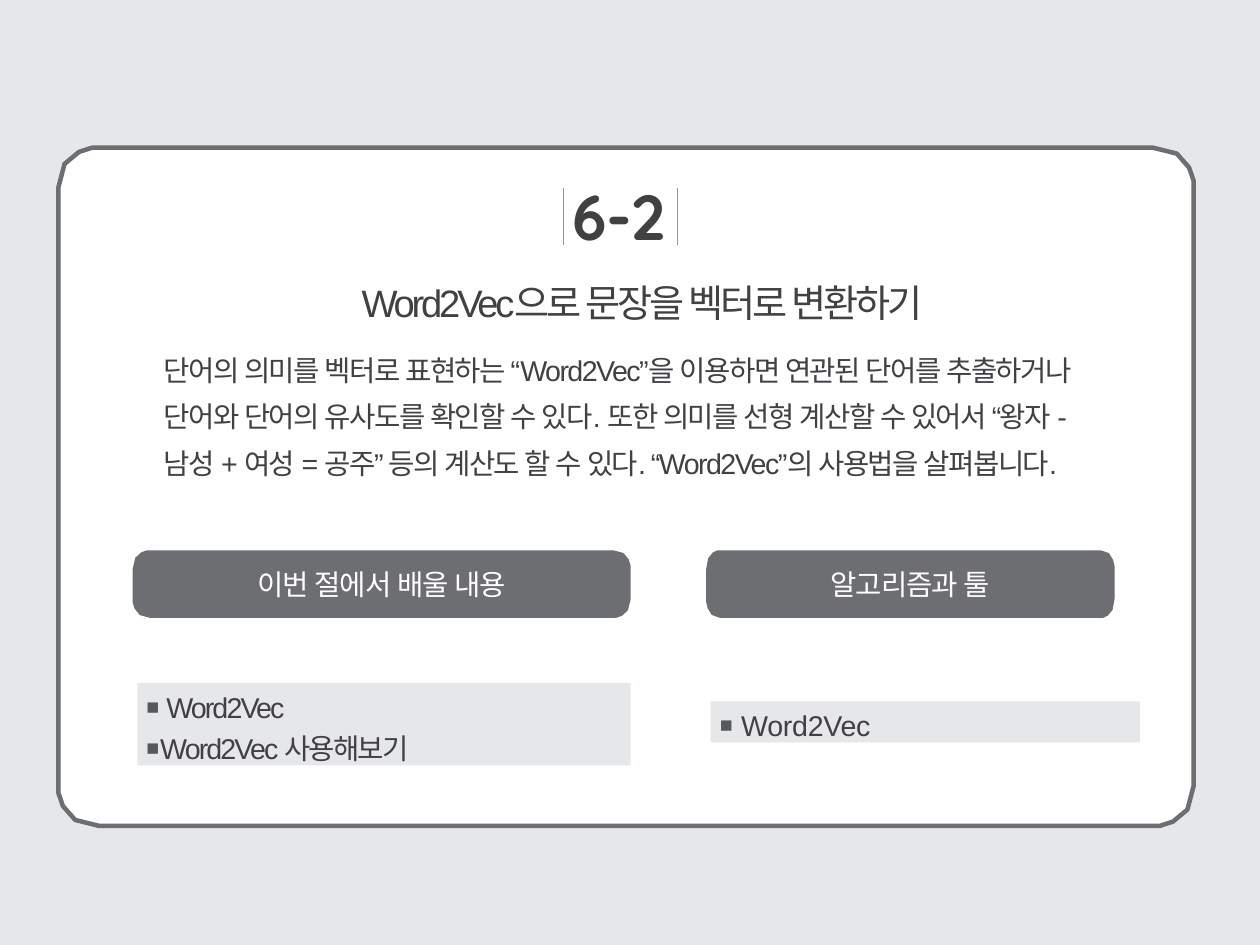
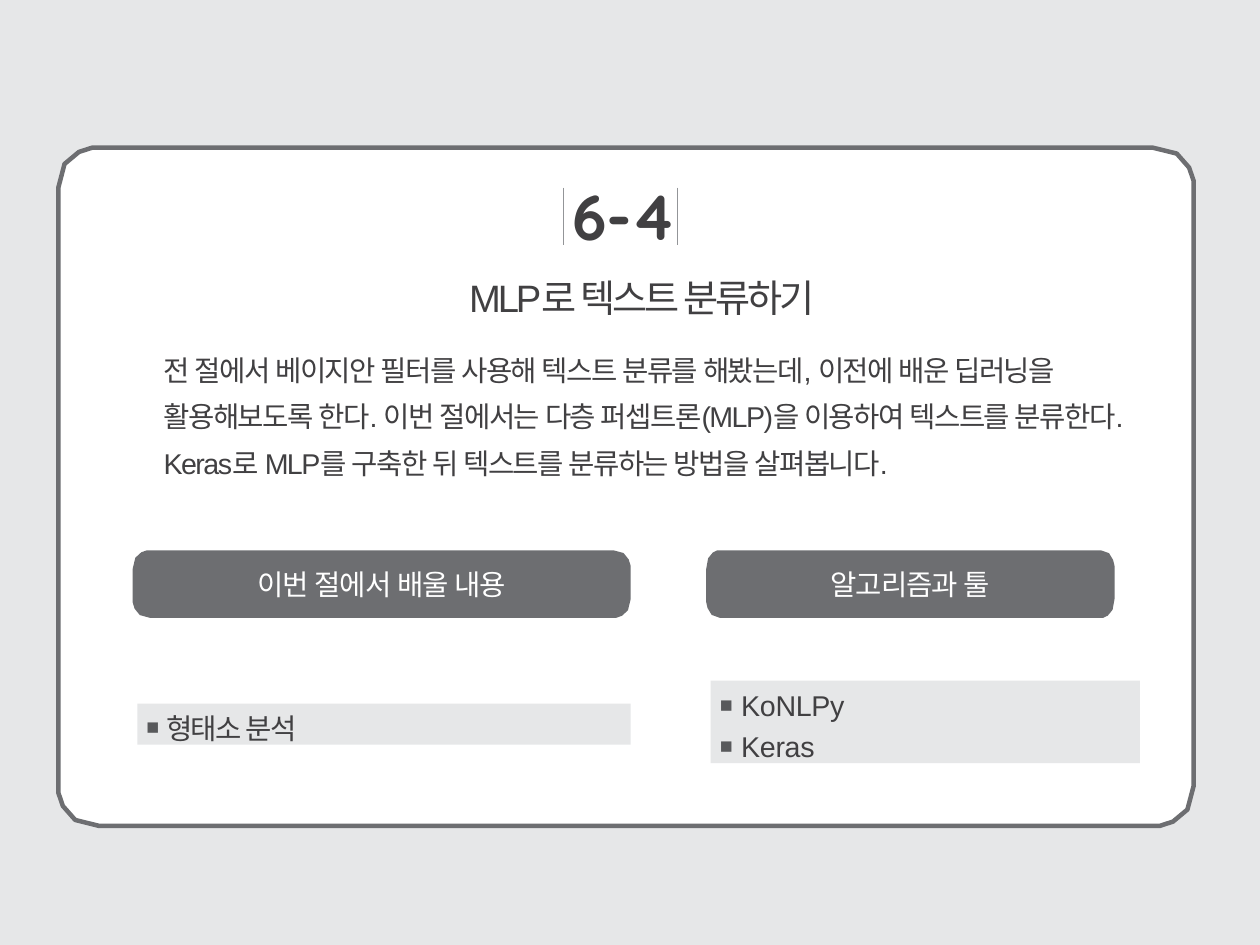
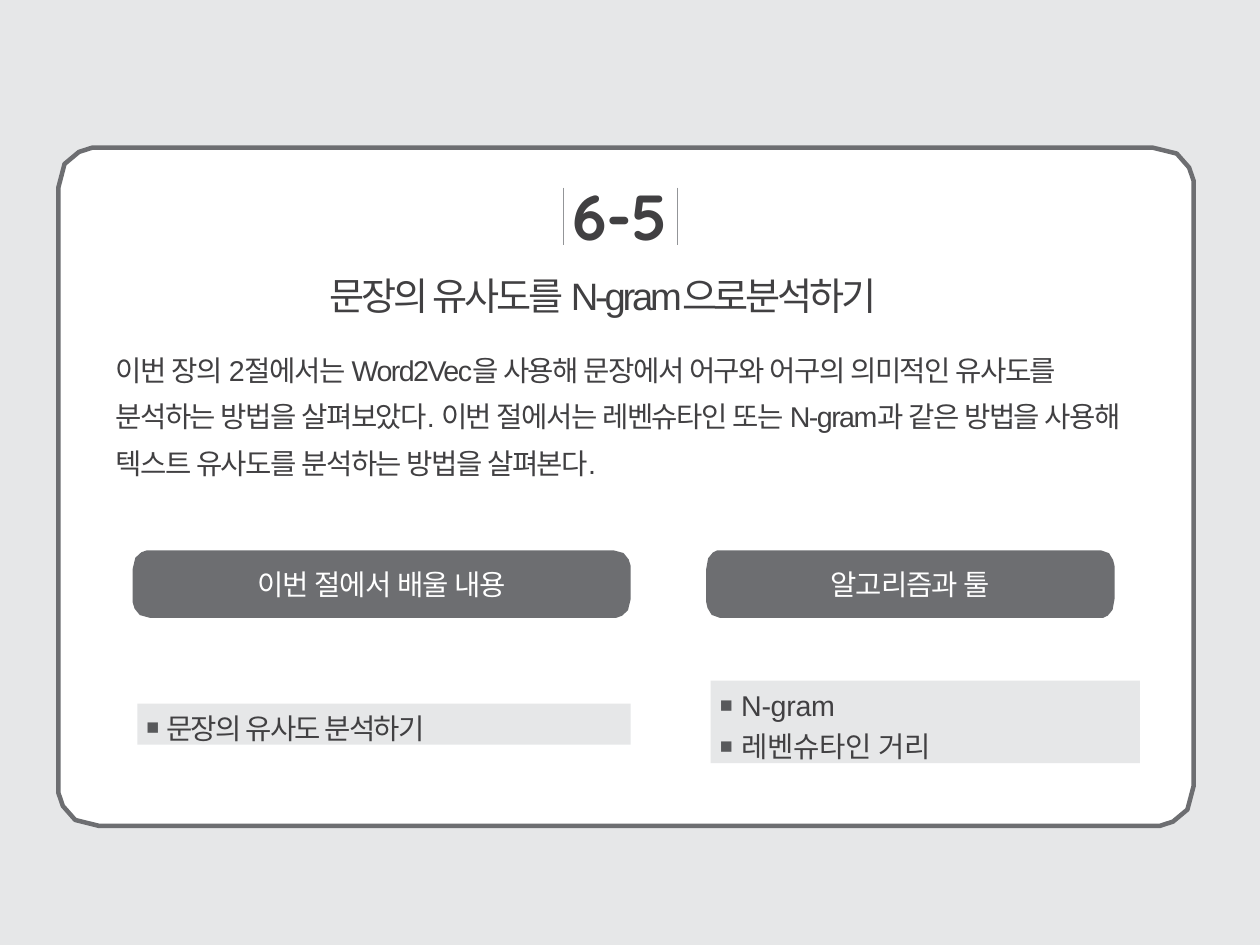
from lxml.etree import SubElement
from pptx import Presentation
from pptx.dml.color import RGBColor
from pptx.enum.shapes import MSO_CONNECTOR
from pptx.enum.text import MSO_ANCHOR, MSO_AUTO_SIZE, PP_ALIGN
from pptx.oxml.ns import qn
from pptx.util import Inches, Pt

COLORS = {
    "background": "E6E7E8",
    "card": "FFFFFF",
    "band": "6D6E71",
    "rule": "939598",
    "text": "414042",
    "bullet": "58595B",
}

SECTIONS = [
    {
        "number": "6-2",
        "title": "Word2Vec으로 문장을 벡터로 변환하기",
        "title_box": (3.15, 2.44, 5.75, 0.4),
        "summary": "단어의 의미를 벡터로 표현하는 “Word2Vec”을 이용하면 연관된 단어를 "
                   "추출하거나 단어와 단어의 유사도를 확인할 수 있다. 또한 의미를 선형 계산할 수 "
                   "있어서 “왕자 - 남성 + 여성 = 공주” 등의 계산도 할 수 있다. “Word2Vec”의 "
                   "사용법을 살펴봅니다.",
        "summary_box": (1.42, 2.98, 8, 1.64),
        "lists": ([" Word2Vec", "Word2Vec 사용해보기"], [" Word2Vec"]),
    },
    {
        "number": "6-4",
        "title": "MLP로 텍스트 분류하기",
        "title_box": (4.09, 2.4, 3.31, 0.4),
        "summary": "전 절에서 베이지안 필터를 사용해 텍스트 분류를 해봤는데, 이전에 배운 딥러닝을 "
                   "활용해보도록 한다. 이번 절에서는 다층 퍼셉트론(MLP)을 이용하여 텍스트를 "
                   "분류한다. Keras로 MLP를 구축한 뒤 텍스트를 분류하는 방법을 살펴봅니다.",
        "summary_box": (1.42, 2.98, 8.42, 1.23),
        "lists": ([" 형태소 분석"], [" KoNLPy", " Keras"]),
    },
    {
        "number": "6-5",
        "title": "문장의 유사도를 N-gram으로분석하기",
        "title_box": (2.87, 2.38, 5.34, 0.4),
        "summary": "이번 장의 2절에서는 Word2Vec을 사용해 문장에서 어구와 어구의 의미적인 유사도를 "
                   "분석하는 방법을 살펴보았다. 이번 절에서는 레벤슈타인 또는 N-gram과 같은 방법을 "
                   "사용해 텍스트 유사도를 분석하는 방법을 살펴본다.",
        "summary_box": (1, 2.98, 8.95, 1.23),
        "lists": ([" 문장의 유사도 분석하기"], [" N-gram", " 레벤슈타인 거리"]),
    },
]

COLUMNS = [
    {"heading": "이번 절에서 배울 내용", "band_box": (1.16, 4.81, 4.35, 0.59),
     "radius": (0.15, 0.16), "left": 1.2, "width": 4.31, "middle": 6.33, "spacing": -1.2},
    {"heading": "알고리즘과 툴", "band_box": (6.17, 4.81, 3.57, 0.59),
     "radius": (0.12, 0.17), "left": 6.21, "width": 3.75, "middle": 6.31, "spacing": -0.2},
]

CARD_BOX = (0.51, 1.29, 9.92, 5.93)
CARD_RADIUS = (0.36, 0.35)
NUMBER_BOX = (4.99, 1.55, 1.04, 0.67)
NUMBER_RULES = (4.92, 5.92)
LIST_LINE = 0.36
CORNER = [(1, 0), (0.83, 0), (0.5, 0.11), (0.15, 0.41), (0, 1)]


def color(name):
    return RGBColor.from_string(COLORS[name])


def place(shape, box):
    shape.left, shape.top, shape.width, shape.height = map(Inches, box)


def setup_frame(shape, left=0, top=0, anchor=MSO_ANCHOR.TOP, grow=True):
    text_frame = shape.text_frame
    text_frame.word_wrap = True
    text_frame.margin_left, text_frame.margin_top = Inches(left), Inches(top)
    text_frame.margin_right = text_frame.margin_bottom = 0
    text_frame.vertical_anchor = anchor
    text_frame.auto_size = MSO_AUTO_SIZE.SHAPE_TO_FIT_TEXT if grow else MSO_AUTO_SIZE.NONE
    return text_frame


def style(paragraph, size, spacing, font="Arial", fill="text", bold=False, align=PP_ALIGN.LEFT):
    paragraph.alignment = align
    for run in paragraph.runs:
        run.font.name = font
        run.font.size = Pt(size)
        run.font.bold = bold
        run.font.color.rgb = color(fill)
        properties = run._r.get_or_add_rPr()
        properties.set("spc", str(round(spacing * 100)))
        SubElement(properties, qn("a:ea"), typeface="Arial")


def add_text(slide, box, text, size, spacing, **options):
    shape = slide.shapes.add_textbox(*map(Inches, box))
    text_frame = setup_frame(shape, left=0.01)
    text_frame.text = text
    style(text_frame.paragraphs[0], size, spacing, **options)
    return text_frame.paragraphs[0]


def add_rounded(slide, box, radius, fill):
    left, top, width, height = box
    right, bottom = left + width, top + height
    corners = [(left, top, 1, 1), (left, bottom, 1, -1),
               (right, bottom, -1, -1), (right, top, -1, 1)]
    points = []
    for x, y, x_sign, y_sign in corners:
        for along, across in CORNER:
            if x_sign != y_sign:
                along, across = across, along
            points.append((Inches(x + x_sign * along * radius[0]),
                           Inches(y + y_sign * across * radius[1])))
    builder = slide.shapes.build_freeform(*points[0])
    builder.add_line_segments(points[1:], close=True)
    shape = builder.convert_to_shape()
    shape.shadow.inherit = False
    shape.fill.solid()
    shape.fill.fore_color.rgb = color(fill)
    shape.line.fill.background()
    return shape


def add_rule(slide, x):
    rule = slide.shapes.add_connector(
        MSO_CONNECTOR.STRAIGHT, Inches(x), Inches(1.64), Inches(x), Inches(2.14))
    rule.line.color.rgb = color("rule")
    rule.line.width = Pt(0.5)
    SubElement(rule._element.spPr, qn("a:effectLst"))


def add_bullet(paragraph):
    paragraph.space_before = Pt(4)
    properties = paragraph._p.get_or_add_pPr()
    properties.set("marL", str(Inches(0.2)))
    properties.set("indent", str(Inches(-0.12)))
    bullet_color = SubElement(properties, qn("a:buClr"))
    SubElement(bullet_color, qn("a:srgbClr"), val=COLORS["bullet"])
    SubElement(properties, qn("a:buSzPct"), val="75000")
    SubElement(properties, qn("a:buFont"), typeface="Arial")
    SubElement(properties, qn("a:buChar"), char="■")


def fill_list(shape, column, items):
    height = LIST_LINE * len(items)
    place(shape, (column["left"], column["middle"] - height / 2, column["width"], height))
    shape.fill.solid()
    shape.fill.fore_color.rgb = color("background")
    text_frame = setup_frame(shape, top=0.06, anchor=MSO_ANCHOR.MIDDLE, grow=False)
    text_frame.text = "\n".join(items)
    for paragraph in text_frame.paragraphs:
        add_bullet(paragraph)
        style(paragraph, 18, column["spacing"])


def add_band(slide, column):
    band = add_rounded(slide, column["band_box"], column["radius"], "band")
    text_frame = setup_frame(band, anchor=MSO_ANCHOR.MIDDLE, grow=False)
    text_frame.text = column["heading"]
    style(text_frame.paragraphs[0], 18, -0.7, font="DejaVu Sans Mono", fill="card",
          align=PP_ALIGN.CENTER)


def add_section(presentation, section):
    slide = presentation.slides.add_slide(presentation.slide_layouts[3])
    title = slide.shapes.title

    card = add_rounded(slide, CARD_BOX, CARD_RADIUS, "card")
    card.line.color.rgb = color("band")
    card.line.width = Pt(2.83)
    title._element.addprevious(card._element)

    for x in NUMBER_RULES:
        add_rule(slide, x)
    add_text(slide, NUMBER_BOX, section["number"], 40, -0.4, font="Quicksand", bold=True)

    place(title, section["title_box"])
    title_frame = setup_frame(title, left=0.01)
    title_frame.text = section["title"]
    style(title_frame.paragraphs[0], 24, -2)

    summary = add_text(slide, section["summary_box"], section["summary"], 18, -1)
    summary.line_spacing = 1.35

    for index, (column, items) in enumerate(zip(COLUMNS, section["lists"]), start=1):
        add_band(slide, column)
        fill_list(slide.placeholders[index], column, items)


def main():
    presentation = Presentation()
    presentation.slide_width = Inches(11.01)
    presentation.slide_height = Inches(8.26)
    background = presentation.slide_master.background.fill
    background.solid()
    background.fore_color.rgb = color("background")
    for section in SECTIONS:
        add_section(presentation, section)
    presentation.save("out.pptx")


if __name__ == "__main__":
    main()
